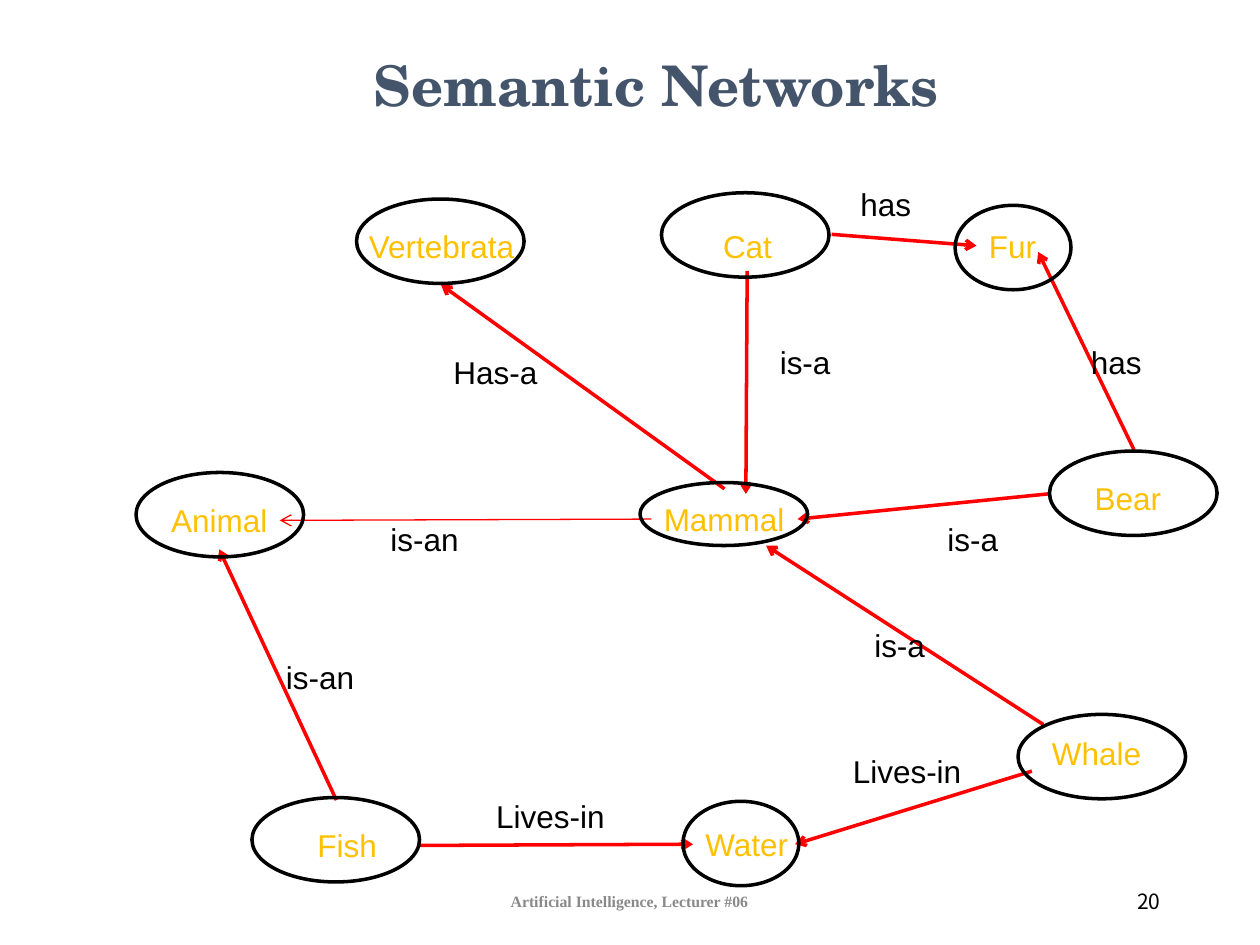
from dataclasses import dataclass

from lxml import etree
from pptx import Presentation
from pptx.dml.color import RGBColor
from pptx.enum import shapes, text
from pptx.oxml.ns import qn
from pptx.util import Inches, Pt


@dataclass(frozen=True)
class Theme:
    title_color: str = "44546A"
    node_color: str = "FFC000"
    ink: str = "000000"
    arrow_color: str = "FF0000"
    footer_color: str = "898989"
    title_font: str = "TeX Gyre Schola"
    body_font: str = "Arial"
    footer_font: str = "Times New Roman"
    number_font: str = "Noto Sans CJK KR"
    title_size: float = 32
    body_size: float = 18
    number_size: float = 12
    footer_size: float = 9
    line_width: float = 2
    thin_line: float = 0.75


TEXT_HEIGHT = 0.4
WIDE, TALL, ROUND, FLAT = 1.33, 0.67, 0.92, 0.5

# name, text (left, top, width), ellipse (left, top, width, height)
NODES = [
    ("Vertebrata", (2.83, 1.75, 1.37), (2.83, 1.58, WIDE, TALL)),
    ("Cat", (5.64, 1.75, 0.6), (5.25, 1.53, WIDE, TALL)),
    ("Fur", (7.75, 1.75, 0.59), (7.58, 1.63, ROUND, TALL)),
    ("Animal", (1.26, 3.93, 0.98), (1.08, 3.75, WIDE, TALL)),
    ("Mammal", (5.17, 3.92, 1.17), (5.08, 3.83, WIDE, FLAT)),
    ("Bear", (8.59, 3.75, 0.74), (8.33, 3.58, WIDE, TALL)),
    ("Fish", (2.42, 6.51, 0.68), (2, 6.33, WIDE, TALL)),
    ("Water", (5.5, 6.5, 0.87), (5.42, 6.36, ROUND, TALL)),
    ("Whale", (8.25, 5.78, 0.92), (8.08, 5.67, WIDE, TALL)),
]

THEME = Theme()

# relation, label (left, top, width), start, end, line width
RELATIONS = [
    ("Has-a", (3.5, 2.75, 0.88), (5.75, 3.88), (3.5, 2.26), THEME.line_width),
    ("is-a", (6.09, 2.67, 0.61), (5.93, 2.15), (5.92, 3.92), THEME.line_width),
    ("has", (6.73, 1.42, 0.61), (6.6, 1.86), (7.75, 1.95), THEME.line_width),
    ("is-a", (6.84, 4.92, 0.61), (8.28, 5.75), (6.08, 4.33), THEME.line_width),
    ("is-a", (7.42, 4.08, 0.61), (8.32, 3.92), (6.33, 4.12), THEME.line_width),
    ("is-an", (3, 4.08, 0.75), (5.17, 4.12), (2.22, 4.13), THEME.thin_line),
    ("is-an", (2.17, 5.17, 0.75), (2.67, 6.35), (1.74, 4.36), THEME.line_width),
    ("Lives-in", (3.84, 6.28, 1.07), (3.33, 6.71), (5.5, 6.7), THEME.line_width),
    ("Lives-in", (6.67, 5.92, 1.07), (8.19, 6.12), (6.31, 6.7), THEME.line_width),
    ("has", (8.56, 2.67, 0.61), (9, 3.57), (8.24, 2), THEME.line_width),
]


class NetworkSlide:
    def __init__(self, slide, theme):
        self.slide = slide
        self.theme = theme

    def text_box(self, words, box, font, size, color, bold=False, align=None):
        """Add wrapped, vertically centred text; without align, a fitted label."""
        shape = self.slide.shapes.add_textbox(*map(Inches, box))
        frame = shape.text_frame
        frame.text = words
        frame.word_wrap = align is not None
        if align is None:
            frame.auto_size = text.MSO_AUTO_SIZE.SHAPE_TO_FIT_TEXT
        else:
            frame.vertical_anchor = text.MSO_ANCHOR.MIDDLE
        paragraph = frame.paragraphs[0]
        paragraph.alignment = align
        run_font = paragraph.runs[0].font
        run_font.name = font
        run_font.size = Pt(size)
        run_font.bold = bold
        run_font.color.rgb = RGBColor.from_string(color)

    def label(self, words, place, color):
        self.text_box(words, (*place, TEXT_HEIGHT), self.theme.body_font,
                      self.theme.body_size, color)

    def ellipse(self, box):
        shape = self.slide.shapes.add_shape(
            shapes.MSO_SHAPE.OVAL, *map(Inches, box))
        shape.shadow.inherit = False
        shape.fill.background()
        shape.line.color.rgb = RGBColor.from_string(self.theme.ink)
        shape.line.width = Pt(self.theme.line_width)

    def arrow(self, start, end, width):
        connector = self.slide.shapes.add_connector(
            shapes.MSO_CONNECTOR.STRAIGHT, *map(Inches, (*start, *end)))
        connector.line.color.rgb = RGBColor.from_string(self.theme.arrow_color)
        connector.line.width = Pt(width)
        properties = connector.element.spPr
        etree.SubElement(properties.find(qn("a:ln")), qn("a:tailEnd"), type="arrow")
        etree.SubElement(properties, qn("a:effectLst"))


def main():
    presentation = Presentation()
    presentation.slide_width = Inches(10)
    presentation.slide_height = Inches(7.5)
    slide = presentation.slides.add_slide(presentation.slide_layouts[6])
    network = NetworkSlide(slide, THEME)

    # An em space sets the two parts of the footer apart.
    network.text_box("Artificial Intelligence, Lecturer #06",
                     (3.31, 6.95, 3.37, TEXT_HEIGHT), THEME.footer_font,
                     THEME.footer_size, THEME.footer_color, True,
                     text.PP_ALIGN.CENTER)
    network.text_box("20", (7.06, 6.95, 2.25, TEXT_HEIGHT), THEME.number_font,
                     THEME.number_size, THEME.ink, align=text.PP_ALIGN.RIGHT)

    for name, place, _ in NODES:
        network.label(name, place, THEME.node_color)
    for _, _, start, end, width in RELATIONS:
        network.arrow(start, end, width)
    for relation, place, *_ in RELATIONS:
        network.label(relation, place, THEME.ink)
    for _, _, outline in NODES:
        network.ellipse(outline)

    network.text_box("Semantic Networks", (0.92, 0.25, 8.58, 0.83),
                     THEME.title_font, THEME.title_size, THEME.title_color, True,
                     text.PP_ALIGN.CENTER)
    presentation.save("out.pptx")


if __name__ == "__main__":
    main()
